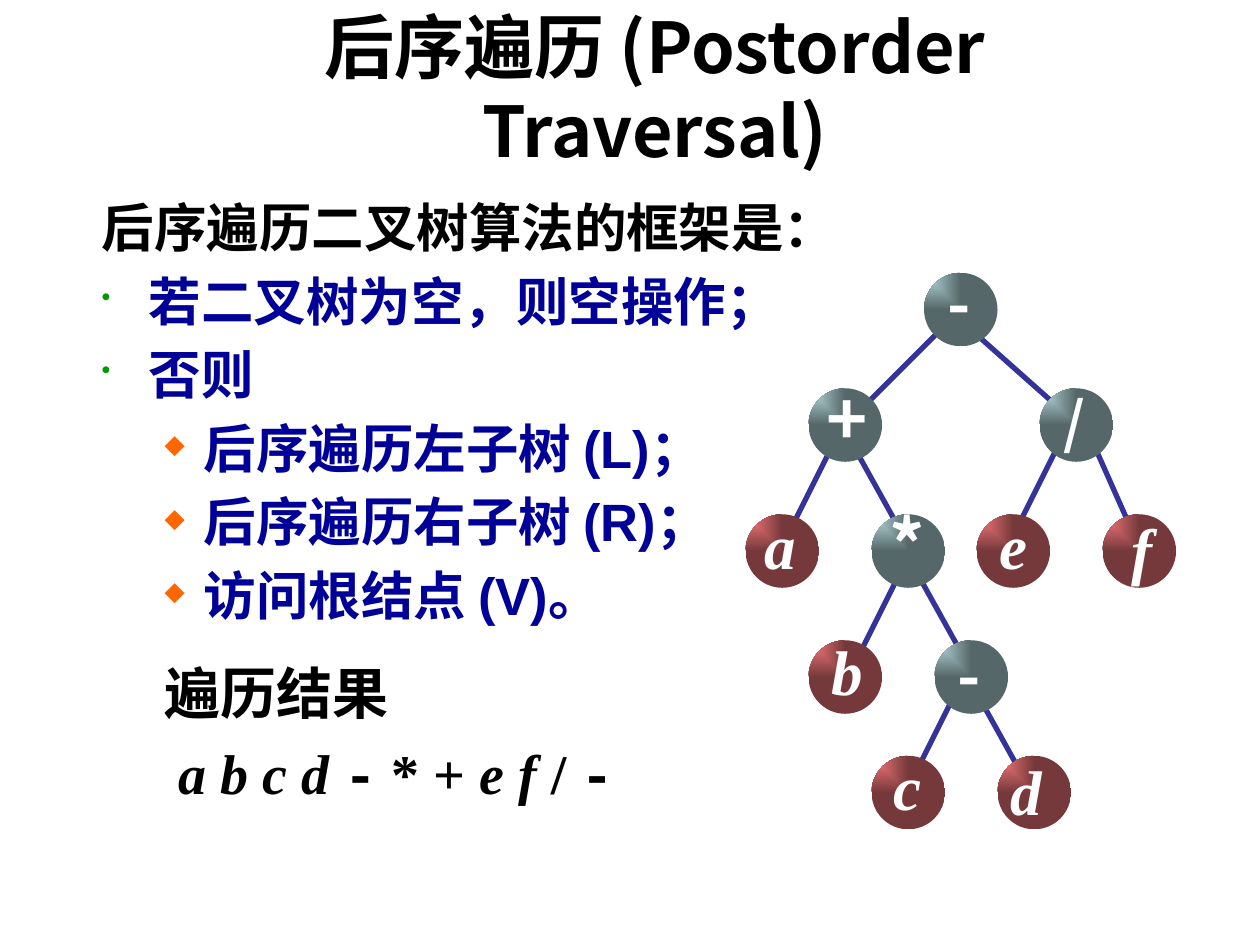
from lxml import etree
from pptx import Presentation
from pptx.dml.color import RGBColor
from pptx.enum.shapes import MSO_CONNECTOR, MSO_SHAPE
from pptx.enum.text import MSO_ANCHOR, PP_ALIGN
from pptx.oxml.ns import qn
from pptx.util import Cm, Pt

LINE = MSO_CONNECTOR.STRAIGHT
OVAL = MSO_SHAPE.OVAL
MIDDLE = MSO_ANCHOR.MIDDLE
CENTER = PP_ALIGN.CENTER

BLACK = RGBColor(0x00, 0x00, 0x00)
WHITE = RGBColor(0xFF, 0xFF, 0xFF)
NAVY = RGBColor(0x00, 0x00, 0x99)
INDIGO = RGBColor(0x33, 0x33, 0x99)
GREEN = RGBColor(0x00, 0x99, 0x00)
ORANGE = RGBColor(0xFF, 0x66, 0x00)
TEAL = (RGBColor(0xBB, 0xE0, 0xE3), RGBColor(0x56, 0x67, 0x69))
RED = (RGBColor(0xFF, 0x7C, 0x80), RGBColor(0x76, 0x39, 0x3B))

HAN = "Noto Sans CJK SC"
SERIF = "Times New Roman"
MONO = "Courier New"

UNIT = 2.54 / 12  # tree grid step in cm
SIZE = 7  # node diameter in grid steps

# label, column, row, text size, label shift in cm
INNER = [
    ("-", 17, 0, 36, -0.04, -0.15),
    ("+", 6, 11, 40, -0.05, -0.15),
    ("/", 28, 11, 32, -0.05, -0.08),
    ("*", 12, 23, 40, -0.05, -0.15),
    ("-", 18, 35, 36, -0.04, -0.05),
]
LEAVES = [
    ("a", 0, 23, 36, -0.04, -0.13),
    ("e", 22, 23, 36, 0, -0.13),
    ("f", 34, 23, 36, 0.06, -0.05),
    ("b", 6, 35, 36, 0.04, -0.13),
    ("c", 12, 46, 36, -0.02, -0.15),
    ("d", 24, 46, 36, -0.16, -0.05),
]
# start column and row, end column and row
EDGES = [
    (19, 5, 11, 13), (21, 5, 30, 13),
    (8, 17, 4, 25), (10, 16, 15, 25),
    (30, 16, 26, 24), (33, 16, 37, 25),
    (15, 28, 11, 36), (16, 28, 21, 37),
    (20, 40, 16, 48), (22, 40, 27, 49),
]

# text, level, bullet
STEPS = [
    ("后序遍历二叉树算法的框架是：", 0, False),
    ("若二叉树为空，则空操作；", 0, True),
    ("否则", 0, True),
    ("后序遍历左子树 (L)；", 1, True),
    ("后序遍历右子树 (R)；", 1, True),
    ("访问根结点 (V)。", 1, True),
]
MARKS = [("•", GREEN), ("◆", ORANGE)]
INDENTS = [(0.95, -0.95), (2.06, -0.79)]  # margin and first line in cm
RESULT = [
    ("a b c d ", SERIF, True), ("-", MONO, False), (" * + ", SERIF, False),
    ("e f", SERIF, True), (" / ", SERIF, False), ("-", MONO, False),
]


def style(run, face, size, color, slant=False):
    font = run.font
    font.name, font.size, font.bold, font.italic = face, Pt(size), True, slant
    font.color.rgb = color
    east = etree.SubElement(font._element, qn("a:ea"))
    east.set("typeface", HAN)


def indent(para, left, first):
    props = para._p.get_or_add_pPr()
    props.set("marL", str(Cm(left)))
    props.set("indent", str(Cm(first)))
    return props


def bullet(props, mark, color):
    tint = etree.SubElement(props, qn("a:buClr"))
    etree.SubElement(tint, qn("a:srgbClr")).set("val", str(color))
    etree.SubElement(props, qn("a:buSzPct")).set("val", "50000")
    etree.SubElement(props, qn("a:buChar")).set("char", mark)


def text_box(slide, x, y, w, h):
    return slide.shapes.add_textbox(Cm(x), Cm(y), Cm(w), Cm(h)).text_frame


def add_title(slide, x, y, w, h):
    frame = text_box(slide, x, y, w, h)
    frame.word_wrap = True
    frame.vertical_anchor = MIDDLE
    frame.text = "后序遍历 (Postorder Traversal)"
    para = frame.paragraphs[0]
    para.alignment = CENTER
    para.line_spacing = Pt(48)
    style(para.runs[0], "Noto Sans CJK JP", 40, BLACK)


def add_body(slide, x, y, w, h):
    frame = text_box(slide, x, y, w, h)
    frame.word_wrap = True
    for i, (text, level, marked) in enumerate(STEPS):
        para = frame.add_paragraph() if i else frame.paragraphs[0]
        para.text = text
        para.level = level
        props = indent(para, *INDENTS[level])
        if marked:
            bullet(props, *MARKS[level])
        para.line_spacing = Pt(36)
        para.space_before = Pt(6 if i else 0)
        style(para.runs[0], "Arial", 30, NAVY if marked else BLACK)

    left, first = INDENTS[1]
    rows = [([("遍历结果", SERIF, False)], first, 18), (RESULT, first + 0.28, 7)]
    for parts, shift, gap in rows:
        para = frame.add_paragraph()
        para.level = 1
        indent(para, left, shift)
        para.line_spacing = Pt(39)
        para.space_before = Pt(gap)
        for text, face, slant in parts:
            run = para.add_run()
            run.text = text
            style(run, face, 32, BLACK, slant)


def shade(fill, colors):
    """Fill with a gradient that spreads from the top left corner."""
    fill.gradient()
    for stop, color in zip(fill.gradient_stops, colors):
        stop.color.rgb = color
    grad = fill._xPr.find(qn("a:gradFill"))
    grad.remove(grad.find(qn("a:lin")))
    spread = etree.SubElement(grad, qn("a:path"), {"path": "rect"})
    etree.SubElement(spread, qn("a:fillToRect"), {"r": "100000", "b": "100000"})


def add_edge(slide, x, y, edge):
    col, row, end_col, end_row = (step * UNIT for step in edge)
    line = slide.shapes.add_connector(
        LINE, Cm(x + col), Cm(y + row), Cm(x + end_col), Cm(y + end_row))
    line.line.color.rgb = INDIGO
    line.line.width = Pt(3)
    etree.SubElement(line._element.spPr, qn("a:effectLst"))


def add_node(slide, x, y, node, colors, face, slant):
    label, col, row, size, dx, dy = node
    x, y, side = x + col * UNIT, y + row * UNIT, SIZE * UNIT
    disc = slide.shapes.add_shape(OVAL, Cm(x), Cm(y), Cm(side), Cm(side))
    disc.shadow.inherit = False
    disc.line.fill.background()
    shade(disc.fill, colors)

    w, h = 1.14, size * 0.05
    frame = text_box(slide, x + (side - w) / 2 + dx, y + (side - h) / 2 + dy, w, h)
    frame.word_wrap = False
    frame.vertical_anchor = MIDDLE
    frame.text = label
    para = frame.paragraphs[0]
    para.alignment = CENTER
    para.line_spacing = Pt(size * 1.2)
    style(para.runs[0], face, size, WHITE, slant)


def add_tree(slide, x, y):
    for edge in EDGES:
        add_edge(slide, x, y, edge)
    for node in INNER:
        add_node(slide, x, y, node, TEAL, HAN, False)
    for node in LEAVES:
        add_node(slide, x, y, node, RED, SERIF, True)


def main():
    deck = Presentation()
    deck.slide_width, deck.slide_height = Cm(25.4), Cm(19.05)
    slide = deck.slides.add_slide(deck.slide_layouts[6])
    add_body(slide, 1.8, 3.81, 15.67, 14.8)
    add_title(slide, 2.9, 0.89, 20.6, 1.75)
    add_tree(slide, 15.03, 5.5)
    deck.save("out.pptx")


if __name__ == "__main__":
    main()
